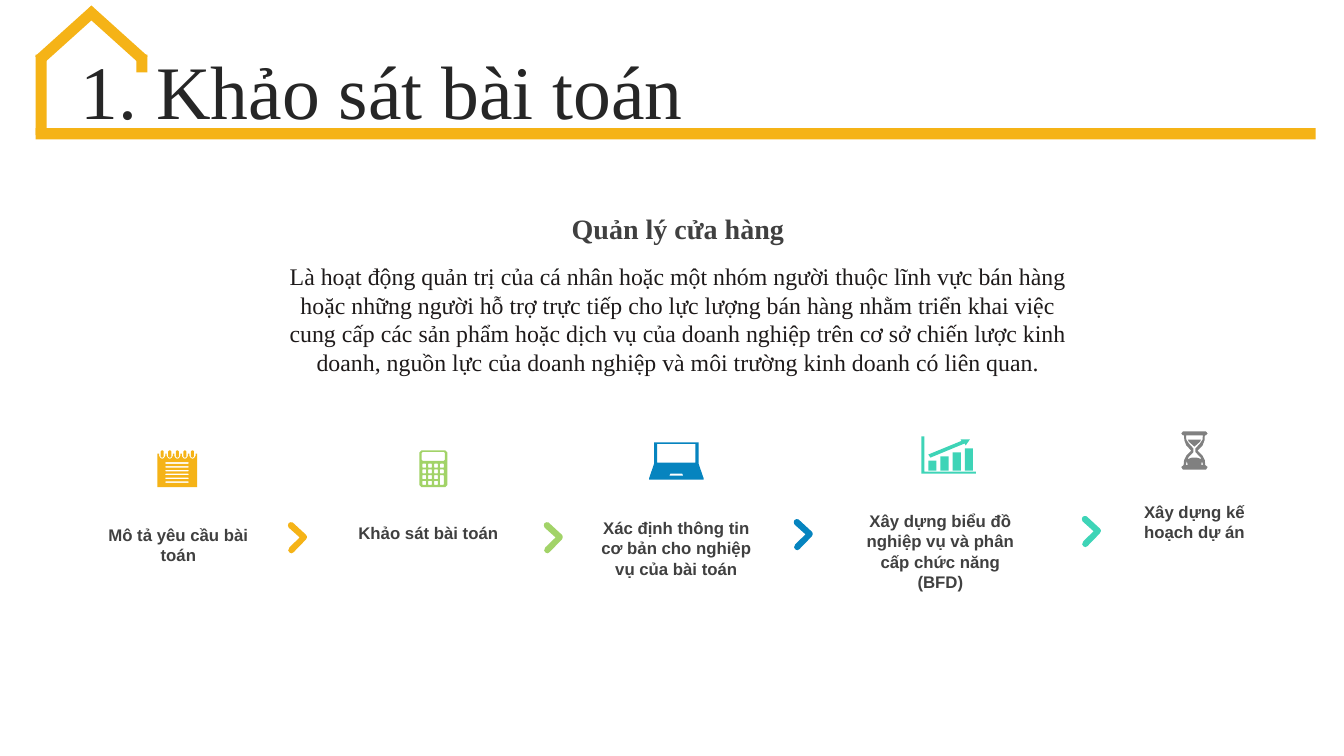
import pptx
import pptx.util
import pptx.dml.color
import pptx.enum.shapes
import pptx.enum.text

Pt = pptx.util.Pt
RGBColor = pptx.dml.color.RGBColor
PP_ALIGN = pptx.enum.text.PP_ALIGN

AMBER = RGBColor(0xF5, 0xB3, 0x17)
GREEN = RGBColor(0xA2, 0xD3, 0x68)
BLUE = RGBColor(0x06, 0x84, 0xBF)
TEAL = RGBColor(0x3E, 0xD4, 0xB7)
GRAY = RGBColor(0x80, 0x80, 0x80)
TITLE = RGBColor(0x26, 0x26, 0x26)
BODY = RGBColor(0x1E, 0x1A, 0x1A)
DARK = RGBColor(0x40, 0x40, 0x40)


def block(x, y, w, h, cut=0):
    r, b = x + w, y + h
    if not cut:
        return [(x, y), (r, y), (r, b), (x, b)]
    return [(x + cut, y), (r - cut, y), (r, y + cut), (r, b - cut),
            (r - cut, b), (x + cut, b), (x, b - cut), (x, y + cut)]


def add_outline(outlines, color):
    points = [[(Pt(x), Pt(y)) for x, y in outline] for outline in outlines]
    builder = s.shapes.build_freeform(*points[0][0], scale=1.0)
    builder.add_line_segments(points[0][1:], close=True)
    for outline in points[1:]:
        builder.move_to(*outline[0])
        builder.add_line_segments(outline[1:], close=True)
    sp = builder.convert_to_shape()
    sp.shadow.inherit = False
    sp.fill.solid()
    sp.fill.fore_color.rgb = color
    sp.line.fill.background()


prs = pptx.Presentation()
prs.slide_width, prs.slide_height = Pt(960), Pt(540)
s = prs.slides.add_slide(prs.slide_layouts[5])

for x, y, w, h, angle in [
    (25.4, 91.6, 914.4, 7.9, 0),
    (25.4, 39, 7.9, 57.6, 0),
    (97.4, 39, 7.9, 12.7, 0),
    (43.9, -2, 7.9, 54, 48),
    (78.8, -2, 7.9, 54, 312),
]:
    sp = s.shapes.add_shape(pptx.enum.shapes.MSO_SHAPE.RECTANGLE, Pt(x), Pt(y), Pt(w), Pt(h))
    sp.rotation = angle
    sp.shadow.inherit = False
    sp.fill.solid()
    sp.fill.fore_color.rgb = AMBER
    sp.line.fill.background()

title = s.shapes.title
title.left, title.top, title.width, title.height = Pt(50.4), Pt(39.6), Pt(886.3), Pt(56.9)
tf = title.text_frame
tf.auto_size = pptx.enum.text.MSO_AUTO_SIZE.NONE
tf.vertical_anchor = pptx.enum.text.MSO_ANCHOR.MIDDLE
p = tf.paragraphs[0]
p.alignment = PP_ALIGN.LEFT
p.line_spacing = 0.9
p.space_before = Pt(10)
r = p.add_run()
r.text = "1. Khảo sát bài toán"
r.font.size = Pt(54)
r.font.name = "Times New Roman"
r.font.color.rgb = TITLE

intro = ("Là hoạt động quản trị của cá nhân hoặc một nhóm người thuộc lĩnh vực bán hàng "
         "hoặc những người hỗ trợ trực tiếp cho lực lượng bán hàng nhằm triển khai việc "
         "cung cấp các sản phẩm hoặc dịch vụ của doanh nghiệp trên cơ sở chiến lược kinh "
         "doanh, nguồn lực của doanh nghiệp và môi trường kinh doanh có liên quan.")
steps = [
    (65.5, 371.5, 36, "Mô tả yêu cầu bài toán"),
    (244.1, 370.1, 21.6, "Khảo sát bài toán"),
    (421.2, 366.5, 51.1, "Xác định thông tin cơ bản cho nghiệp vụ của bài toán"),
    (609.8, 361.4, 65.5, "Xây dựng biểu đồ nghiệp vụ và phân cấp chức năng (BFD)"),
    (791.3, 355, 36, "Xây dựng kế hoạch dự án"),
]
texts = [
    (189.4, 183.6, 589.7, 90, intro, 17, "Times New Roman", BODY, False),
    (189.4, 147.6, 589.7, 31.7, "Quản lý cửa hàng", 20, "Times New Roman", DARK, True),
]
texts += [(x, y, 123.8, h, text, 12, "Arial", DARK, True) for x, y, h, text in steps]
for x, y, w, h, text, size, font, color, bold in texts:
    tf = s.shapes.add_textbox(Pt(x), Pt(y), Pt(w), Pt(h)).text_frame
    tf.word_wrap = True
    tf.auto_size = pptx.enum.text.MSO_AUTO_SIZE.SHAPE_TO_FIT_TEXT
    p = tf.paragraphs[0]
    p.alignment = PP_ALIGN.CENTER
    r = p.add_run()
    r.text = text
    r.font.size = Pt(size)
    r.font.name = font
    r.font.bold = bold
    r.font.color.rgb = color

chevron = [(0.2, 2.2), (0.7, 0.7), (2, 0), (3.6, 0.2), (13, 8.9), (13.7, 10), (13.7, 11),
           (13, 12.4), (4.3, 21.4), (2.9, 22.2), (1.4, 21.7), (0.4, 20.2), (1.3, 18),
           (8.6, 10.9), (0.7, 3.8)]
for left, top, color in [(205.5, 373, AMBER), (388.3, 373, GREEN),
                         (566.8, 370.8, BLUE), (772.6, 368.6, TEAL)]:
    add_outline([[(left + x, top + y) for x, y in chevron]], color)

ring_centers = [115.9 + 5.4 * i for i in range(5)]
page = [(112.5, 324)]
for c in ring_centers:
    page += [(c - 2.2, 324), (c - 2.2, 325.7), (c - 1.2, 327.3), (c, 327.7),
             (c + 1.2, 327.3), (c + 2.2, 325.7), (c + 2.2, 324)]
page += [(140.8, 324), (140.8, 348), (112.5, 348)]
rings = [block(c - 1.1, 321.7, 2.2, 5.2, 0.8) for c in ring_centers]
rules = [block(118.1, 330.2 + 2.73 * i, 16.7, 1.1, 0.3) for i in range(6)]
add_outline([page] + rings + rules, AMBER)

keys = [block(301.7 + 4.2 * col, 331.2 + 4.1 * row, 2.7, 2.9, 0.3)
        for row in range(4) for col in range(4) if col < 3 or row < 2]
enter_key = block(314.3, 339.4, 2.7, 7, 0.3)
add_outline([block(299.6, 321.7, 20, 26.3, 1.5), block(301.2, 322.8, 16.7, 6.4, 0.8),
             enter_key] + keys, GREEN)

laptop = [(467.3, 316.1), (499, 316.1), (499, 331.2), (502.6, 341.6), (502.6, 342.7),
          (463.7, 342.7), (463.7, 341.6), (467.3, 331.2)]
touchpad = [(478.8, 338.4), (487.4, 338.4), (488.2, 339.8), (478.1, 339.8)]
add_outline([laptop, block(469.4, 317.2, 27.4, 13.3), touchpad], BLUE)

axes = [(658.2, 311.8), (660.2, 311.8), (660.2, 337), (697, 337), (697, 338.4), (658.2, 338.4)]
trend = [(686.2, 313.9), (692.8, 313.9), (689.8, 318.2), (689, 316.8), (664.6, 326.9),
         (663.1, 324.7), (686.9, 314.9)]
bars = [block(663.1 + 8.7 * i, 329 - 2.9 * i, 5.8, 7.2 + 2.9 * i) for i in range(4)]
add_outline([axes, trend] + bars, TEAL)

half_glass = [
    [(-9.4, 308.2), (-8.2, 308.2), (8.2, 308.2), (9.4, 309.6), (8.2, 311), (7.4, 311),
     (7.2, 314.5), (5.8, 318.2), (2.2, 321.9)],
    [(2.2, 321.9), (5.8, 325.5), (7.4, 328.8), (7.7, 332.2), (9.4, 333.6), (8.2, 335.5)],
]
right = half_glass[0][2:] + half_glass[1][1:]
inner = [(6, 311), (5.8, 314), (3.8, 317), (0.7, 320.4), (0.7, 322.9), (4.6, 327), (6.2, 332)]
sand_top = [(4.7, 314), (4, 315.5), (0, 319)]
sand_bottom = [(1.8, 326.9), (4.6, 327.8), (5.3, 329.8), (4.8, 332)]
add_outline([[(853.2 + x, y) for x, y in side] + [(853.2 - x, y) for x, y in reversed(side)]
             for side in (right, inner, sand_top, sand_bottom)], GRAY)

prs.save("out.pptx")
